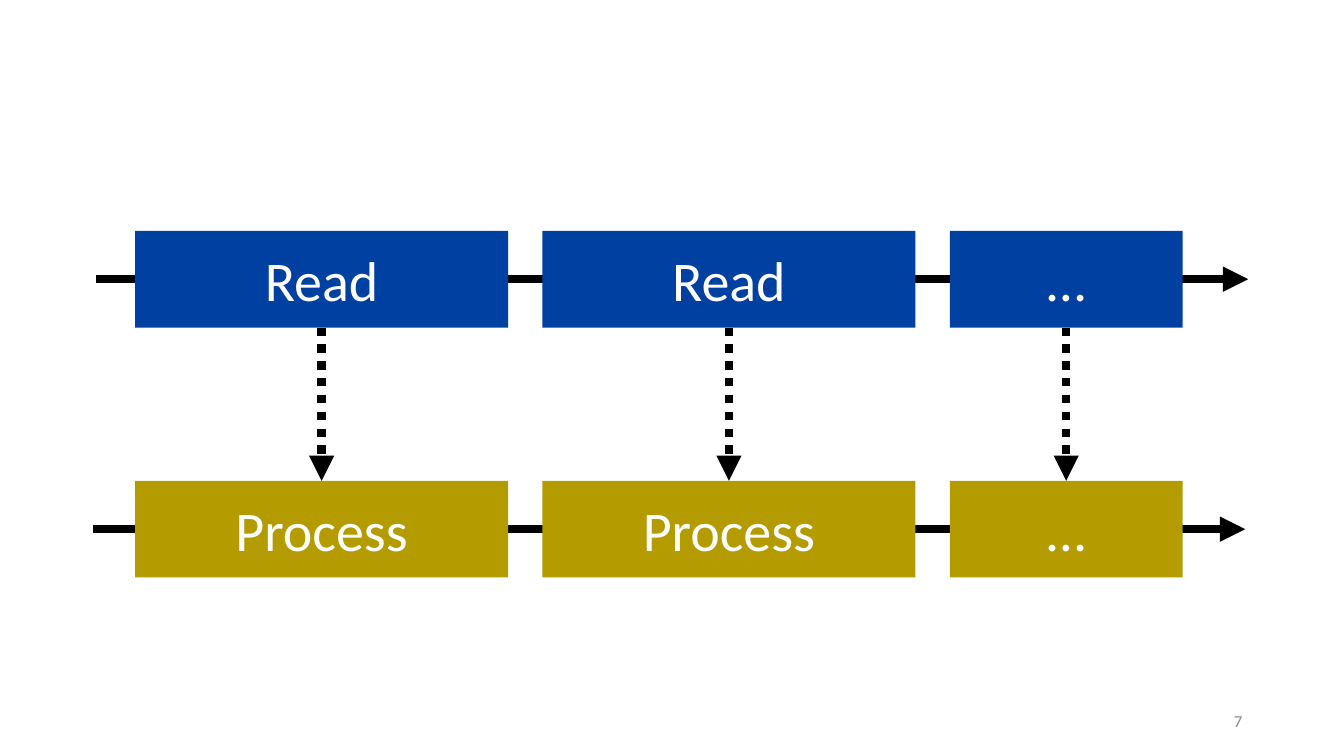
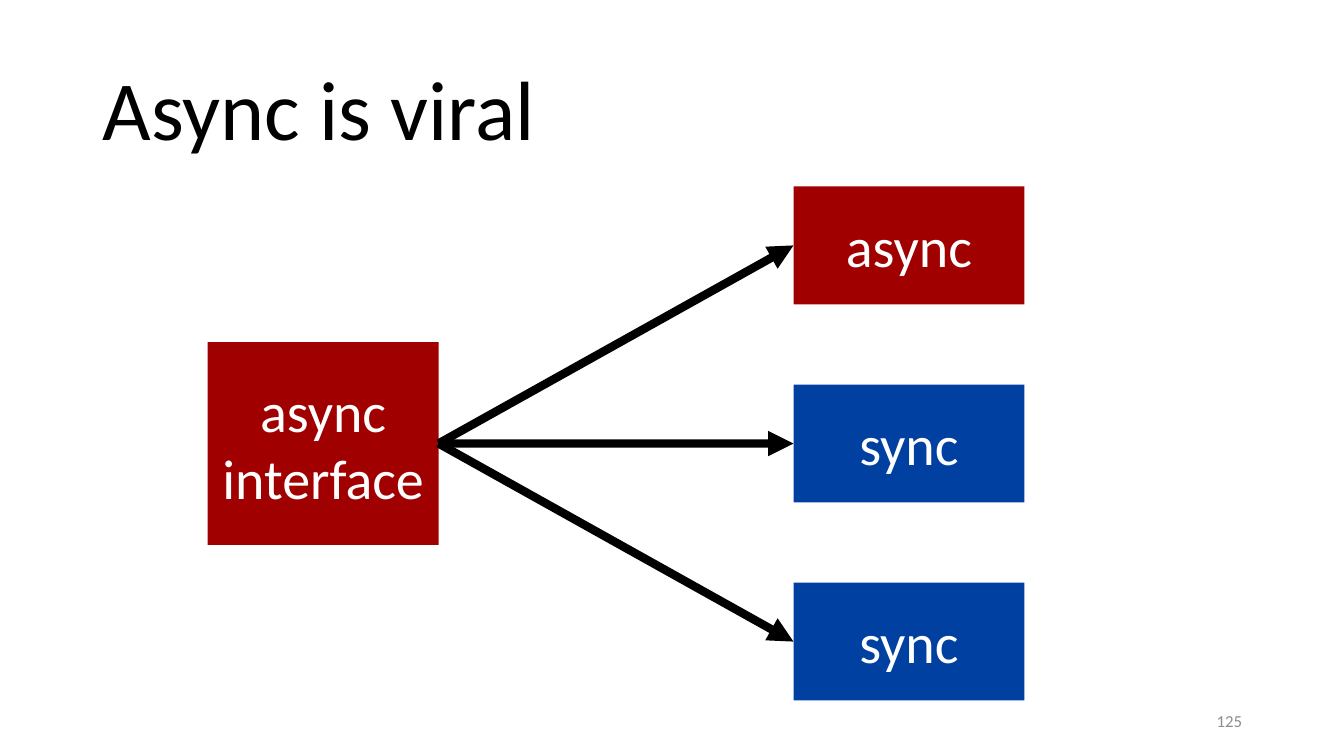
from lxml import etree
from pptx import Presentation
from pptx.dml.color import RGBColor
from pptx.enum.dml import MSO_LINE
from pptx.enum.shapes import MSO_CONNECTOR, MSO_SHAPE
from pptx.enum.text import MSO_ANCHOR, MSO_AUTO_SIZE, PP_ALIGN
from pptx.oxml.ns import qn
from pptx.util import Inches, Pt

LEFT, CENTER, RIGHT = PP_ALIGN.LEFT, PP_ALIGN.CENTER, PP_ALIGN.RIGHT
MIDDLE = MSO_ANCHOR.MIDDLE
NO_AUTOFIT = MSO_AUTO_SIZE.NONE
RECTANGLE = MSO_SHAPE.RECTANGLE
STRAIGHT = MSO_CONNECTOR.STRAIGHT
DOTTED = MSO_LINE.ROUND_DOT  # stored as sysDot

# Shared style
FONT = "Calibri"
BLACK, WHITE, GRAY = "000000", "FFFFFF", "8C8C8C"
BLUE, GOLD, RED = "0040A0", "B49C00", "A00000"
TITLE_BOX = (0.92, 0.4, 11.5, 1.45)
NUMBER_BOX = (9.42, 6.95, 3, 0.4)
TITLE_ONLY, BLANK = 5, 6

# Connection sites of a rectangle
TOP_SITE, LEFT_SITE, BOTTOM_SITE, RIGHT_SITE = range(4)


def color(hex_string):
    return RGBColor.from_string(hex_string)


def write(shape, text, size=40, ink=WHITE, align=CENTER, spacing=None):
    """Fill a shape with text, one paragraph for each line."""
    frame = shape.text_frame
    frame.word_wrap = True
    frame.auto_size = NO_AUTOFIT
    frame.vertical_anchor = MIDDLE
    frame.text = text
    for paragraph in frame.paragraphs:
        paragraph.alignment = align
        paragraph.line_spacing = spacing
        for run in paragraph.runs:
            run.font.name = FONT
            run.font.size = Pt(size)
            run.font.color.rgb = color(ink)


def add_title(slide, text):
    title = slide.shapes.title
    title.left, title.top, title.width, title.height = map(Inches, TITLE_BOX)
    write(title, text, size=60, ink=BLACK, align=LEFT, spacing=0.9)


def add_number(slide, number):
    number_box = slide.shapes.add_textbox(*map(Inches, NUMBER_BOX))
    write(number_box, str(number), size=12, ink=GRAY, align=RIGHT)


def add_block(slide, text, box, fill):
    block = slide.shapes.add_shape(RECTANGLE, *map(Inches, box))
    block.shadow.inherit = False
    block.fill.solid()
    block.fill.fore_color.rgb = color(fill)
    block.line.fill.background()
    write(block, text)
    return block


def add_arrow(slide, start=(0, 0), end=(0, 0), dash=None):
    arrow = slide.shapes.add_connector(STRAIGHT, *map(Inches, (*start, *end)))
    arrow.line.color.rgb = color(BLACK)
    arrow.line.width = Pt(6)
    if dash is not None:
        arrow.line.dash_style = dash
    outline = arrow.line._get_or_add_ln()
    etree.SubElement(outline, qn("a:tailEnd"), type="triangle")
    etree.SubElement(arrow._element.spPr, qn("a:effectLst"))
    return arrow


def link(slide, source, source_site, target, target_site, dash=None):
    """Draw an arrow glued to two blocks."""
    arrow = add_arrow(slide, dash=dash)
    arrow.begin_connect(source, source_site)
    arrow.end_connect(target, target_site)


def add_timeline(slide, label, fill, top, axis_left):
    """Draw a row of blocks threaded on a horizontal time arrow."""
    height, gap, axis_length = 0.96, 0.34, 11.43
    axis_y = top + height / 2
    add_arrow(slide, (axis_left, axis_y), (axis_left + axis_length, axis_y))
    left, blocks = 1.34, []
    for text, width in ((label, 3.7), (label, 3.7), ("…", 2.31)):
        blocks.append(add_block(slide, text, (left, top, width, height), fill))
        left += width + gap
    return blocks


def add_fan_out(slide, left, top):
    """Draw one caller pointing at a column of callees."""
    width, height, pitch = 2.29, 1.17, 1.965
    caller_height, callee_offset = 2.01, 5.81
    callees = (("async", RED), ("sync", BLUE), ("sync", BLUE))
    middle = top + (pitch * (len(callees) - 1) + height) / 2
    caller_box = (left, middle - caller_height / 2, width, caller_height)
    caller = add_block(slide, "async\ninterface", caller_box, RED)
    for index, (text, fill) in enumerate(callees):
        box = (left + callee_offset, top + index * pitch, width, height)
        callee = add_block(slide, text, box, fill)
        link(slide, caller, RIGHT_SITE, callee, LEFT_SITE)


def build_pipeline_slide(deck):
    slide = deck.slides.add_slide(deck.slide_layouts[BLANK])
    add_number(slide, 7)
    reads = add_timeline(slide, "Read", BLUE, top=2.29, axis_left=0.95)
    processes = add_timeline(slide, "Process", GOLD, top=4.77, axis_left=0.92)
    for read, process in zip(reads, processes):
        link(slide, read, BOTTOM_SITE, process, TOP_SITE, dash=DOTTED)


def build_viral_slide(deck):
    slide = deck.slides.add_slide(deck.slide_layouts[TITLE_ONLY])
    add_title(slide, "Async is viral")
    add_number(slide, 125)
    add_fan_out(slide, left=2.06, top=1.85)


def main():
    deck = Presentation()
    deck.slide_width, deck.slide_height = Inches(13.33), Inches(7.5)
    build_pipeline_slide(deck)
    build_viral_slide(deck)
    deck.save("out.pptx")


if __name__ == "__main__":
    main()
